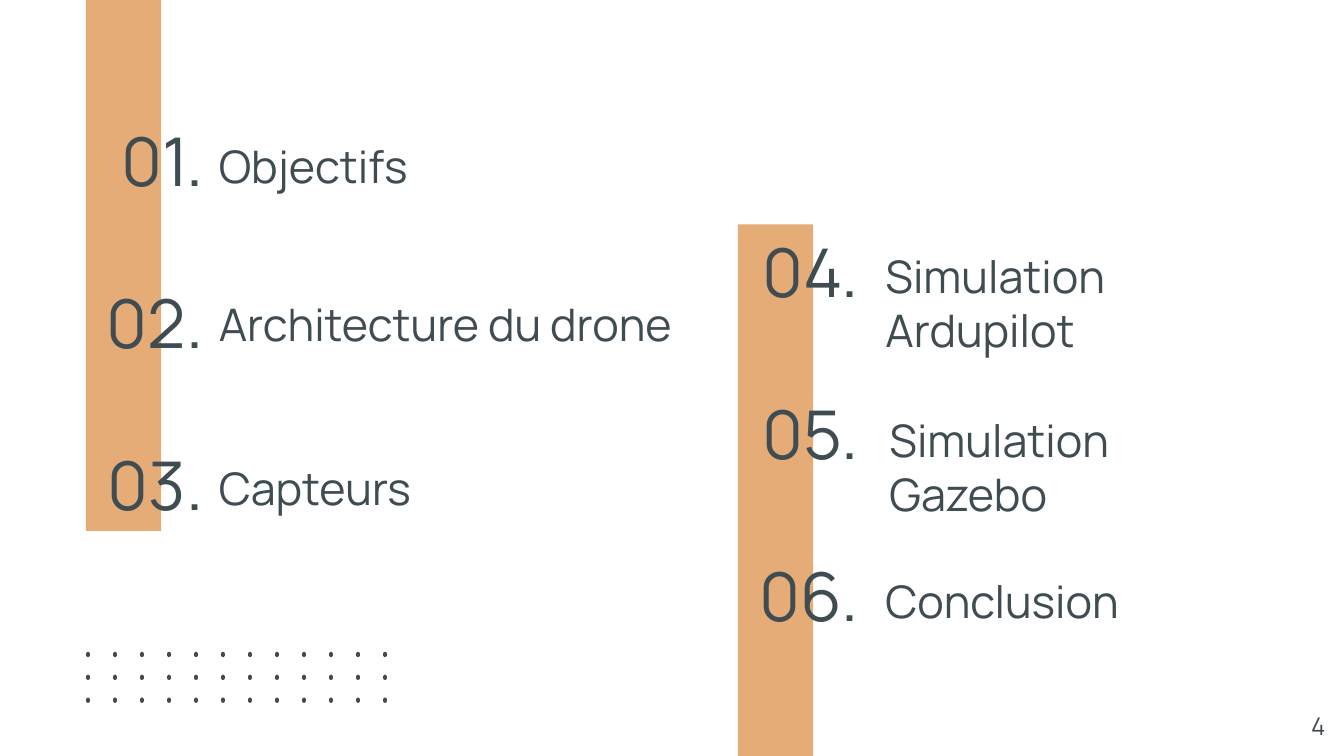
import pptx
import pptx.util
import pptx.dml.color
import pptx.enum.shapes
import pptx.enum.text

Inches = pptx.util.Inches
ALIGN = pptx.enum.text.PP_ALIGN
ANCHOR = pptx.enum.text.MSO_ANCHOR
SHAPE = pptx.enum.shapes.MSO_SHAPE

# Slide size in inches, 16:9
SLIDE_W = 10
SLIDE_H = SLIDE_W * 9 / 16

# Content: each chapter is its label and the label's left, top, width, height
COLUMNS = [
    {"bar": (0.64, 0, 3.95), "numbers": (0.17, 0.89), "first": 1, "chapters": [
        ("Objectifs", 1.53, 1.08, 3.07, 0.45),
        ("Architecture du drone", 1.53, 2.12, 3.94, 0.59),
        ("Capteurs", 1.53, 3.48, 3.07, 0.45)]},
    {"bar": (5.49, 1.67, SLIDE_H - 1.67), "numbers": (5.05, 1.72), "first": 4, "chapters": [
        ("Simulation Ardupilot", 6.49, 1.8, 2.83, 0.95),
        ("Simulation Gazebo", 6.52, 3.02, 2.83, 0.95),
        ("Conclusion", 6.49, 4.27, 3.07, 0.5)]},
]
PAGE_NUMBER = "4"

# Style and grid, in inches
FONT = "Manrope"
INK = pptx.dml.color.RGBColor(0x3F, 0x4D, 0x53)
SAND = pptx.dml.color.RGBColor(0xE5, 0xAC, 0x77)
BAR_W = 0.56
NUMBER_W, NUMBER_H = 1.44, 0.59
ROW_SPAN = 2.41  # from the first number to the third
DOT_W, DOT_H = 0.03, 0.04
DOT_COLS, DOT_ROWS = 12, 3
DOTS_LEFT, DOTS_RIGHT, DOTS_TOP, DOT_ROW_PITCH = 0.64, 2.85, 4.85, 0.17


def add_block(page, kind, left, top, width, height, color):
    shape = page.shapes.add_shape(
        kind, Inches(left), Inches(top), Inches(width), Inches(height))
    shape.shadow.inherit = False
    shape.fill.solid()
    shape.fill.fore_color.rgb = color
    shape.line.fill.background()


def add_text(page, text, left, top, width, height, size, align, anchor):
    box = page.shapes.add_textbox(
        Inches(left), Inches(top), Inches(width), Inches(height))
    frame = box.text_frame
    frame.text = text
    frame.word_wrap = True
    frame.vertical_anchor = anchor
    frame.margin_left = frame.margin_right = Inches(0.1)
    frame.margin_top = frame.margin_bottom = Inches(0.1)
    para = frame.paragraphs[0]
    para.alignment = align
    span = para.runs[0]
    span.font.name = FONT
    span.font.size = pptx.util.Pt(size)
    span.font.color.rgb = INK


deck = pptx.Presentation()
deck.slide_width, deck.slide_height = Inches(SLIDE_W), Inches(SLIDE_H)
page = deck.slides.add_slide(deck.slide_layouts[6])

# Bars with numbered chapters
for column in COLUMNS:
    bar_left, bar_top, bar_height = column["bar"]
    add_block(page, SHAPE.RECTANGLE, bar_left, bar_top, BAR_W, bar_height, SAND)
    number_left, first_top = column["numbers"]
    row_pitch = ROW_SPAN / (len(column["chapters"]) - 1)
    for row, (label, *place) in enumerate(column["chapters"]):
        add_text(page, f"{column['first'] + row:02d}.", number_left,
                 first_top + row * row_pitch, NUMBER_W, NUMBER_H,
                 36, ALIGN.RIGHT, ANCHOR.MIDDLE)
        add_text(page, label, *place, 24, ALIGN.LEFT, ANCHOR.BOTTOM)

# Dot grid
dot_pitch = (DOTS_RIGHT - DOTS_LEFT) / (DOT_COLS - 1)
for row in range(DOT_ROWS):
    for col in range(DOT_COLS):
        add_block(page, SHAPE.OVAL, DOTS_LEFT + col * dot_pitch,
                  DOTS_TOP + row * DOT_ROW_PITCH, DOT_W, DOT_H, INK)

# Page number
add_text(page, PAGE_NUMBER, 9.36, 5.19, 0.6, 0.43, 13, ALIGN.RIGHT, ANCHOR.TOP)

deck.save("out.pptx")
